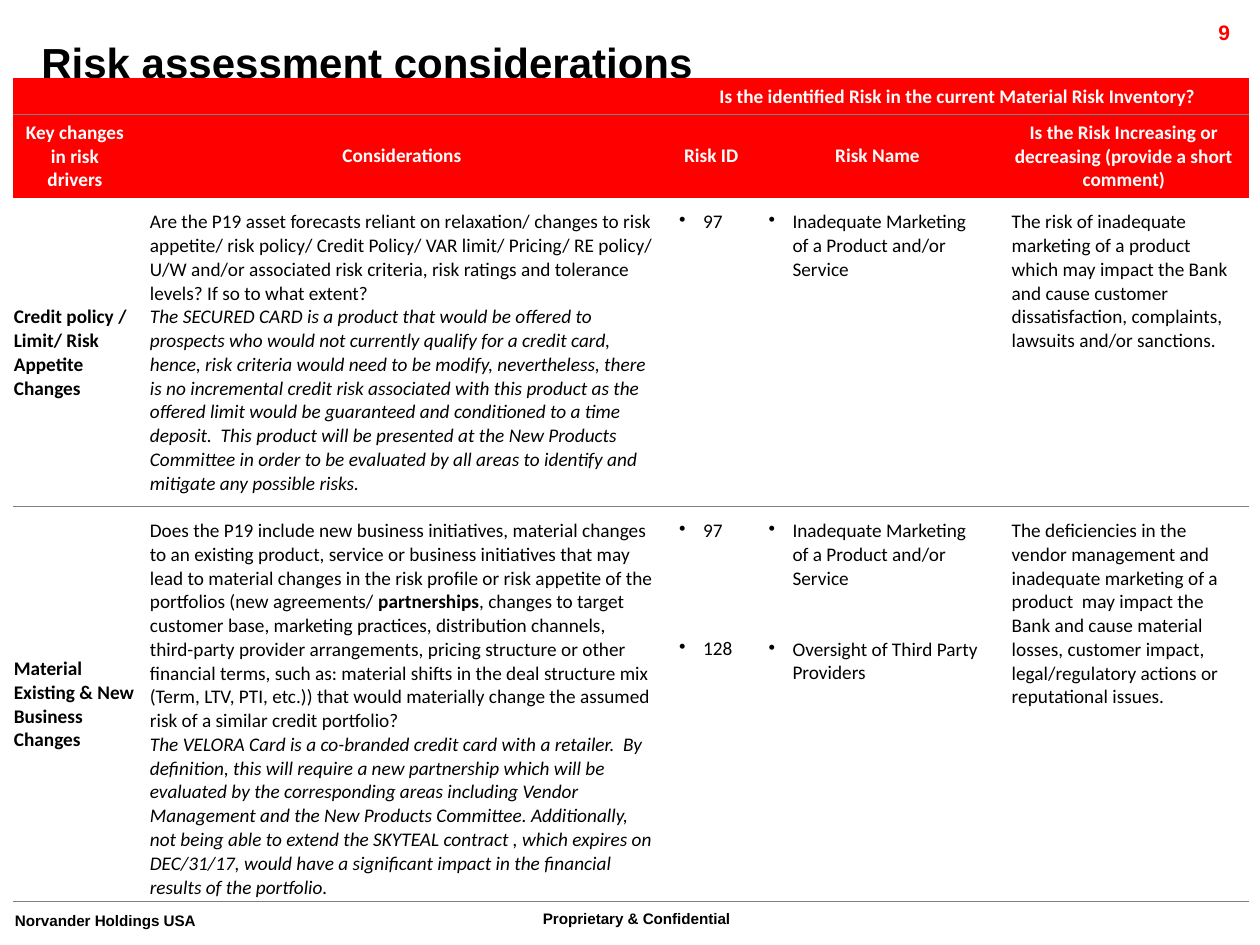
import dataclasses
import pptx
import pptx.dml.color
import pptx.enum.text
import pptx.oxml
import pptx.oxml.ns
import pptx.util
from lxml import etree

Inches = pptx.util.Inches
Pt = pptx.util.Pt
Align = pptx.enum.text.PP_ALIGN
Anchor = pptx.enum.text.MSO_ANCHOR
qn = pptx.oxml.ns.qn

HUES = {"red": "FF0000", "black": "000000", "white": "FFFFFF", "gray": "808080"}
PLAIN = "{2D5ABB26-0587-4C30-8999-92F81FD0307C}"
COLS = [0.99, 4.2, 0.71, 1.93, 1.98]
ROWS = [0.29, 0.66, 2.45, 3.13]
RULED = {0, 2, 3}


@dataclasses.dataclass
class Label:
    text: str
    left: float
    top: float
    width: float
    height: float
    size: int
    hue: str = "black"
    align: Align = Align.LEFT
    base: int = 0


@dataclasses.dataclass
class Para:
    text: str
    bold: bool = False
    slant: bool = False
    dot: bool = False
    gap: float = 0
    strong: str = ""


@dataclasses.dataclass
class Entry:
    driver: str
    notes: list[Para]
    ids: list[Para]
    names: list[Para]
    trend: str


LABELS = [
    Label("Proprietary & Confidential", 4.21, 7.14, 2.18, 0.35, 15, base=30),
    Label("Norvander Holdings USA", 0.02, 7.16, 1.91, 0.35, 15, base=30),
    Label("9", 8.91, 0.11, 0.95, 0.24, 12, "red", Align.RIGHT),
    Label("Risk assessment considerations", 0.23, 0.24, 9.82, 0.5, 24),
]

HEADS = [
    "Key changes in risk drivers", "Considerations", "Risk ID", "Risk Name",
    "Is the Risk Increasing or decreasing (provide a short comment)",
]

MARKET = "Inadequate Marketing of a Product and/or Service"

ENTRIES = [
    Entry(
        "Credit policy / Limit/ Risk Appetite Changes",
        [
            Para("Are the P19 asset forecasts reliant on relaxation/ changes to risk "
                 "appetite/ risk policy/ Credit Policy/ VAR limit/ Pricing/ RE policy/ "
                 "U/W and/or associated risk criteria, risk ratings and tolerance "
                 "levels? If so to what extent?"),
            Para("The SECURED CARD is a product that would be offered to prospects who "
                 "would not currently qualify for a credit card, hence, risk criteria "
                 "would need to be modify, nevertheless, there is no incremental credit "
                 "risk associated with this product as the offered limit would be "
                 "guaranteed and conditioned to a time deposit.  This product will be "
                 "presented at the New Products Committee in order to be evaluated by "
                 "all areas to identify and mitigate any possible risks.", slant=True),
        ],
        [Para("97", dot=True)],
        [Para(MARKET, dot=True)],
        "The risk of inadequate marketing of a product which may impact the Bank and "
        "cause customer dissatisfaction, complaints, lawsuits and/or sanctions.",
    ),
    Entry(
        "Material Existing & New Business Changes",
        [
            Para("Does the P19 include new business initiatives, material changes to an "
                 "existing product, service or business initiatives that may lead to "
                 "material changes in the risk profile or risk appetite of the "
                 "portfolios (new agreements/ partnerships, changes to target customer "
                 "base, marketing practices, distribution channels, third-party "
                 "provider arrangements, pricing structure or other financial terms, "
                 "such as: material shifts in the deal structure mix (Term, LTV, PTI, "
                 "etc.)) that would materially change the assumed risk of a similar "
                 "credit portfolio?", strong="partnerships"),
            Para("The VELORA Card is a co-branded credit card with a retailer.  By "
                 "definition, this will require a new partnership which will be "
                 "evaluated by the corresponding areas including Vendor Management and "
                 "the New Products Committee. Additionally, not being able to extend "
                 "the SKYTEAL contract , which expires on DEC/31/17, would have a "
                 "significant impact in the financial results of the portfolio.",
                 slant=True),
        ],
        [Para("97", dot=True), Para("128", dot=True, gap=54)],
        [Para(MARKET, dot=True),
         Para("Oversight of Third Party Providers", dot=True, gap=27)],
        "The deficiencies in the vendor management and inadequate marketing of a "
        "product  may impact the Bank and cause material losses, customer impact, "
        "legal/regulatory actions or reputational issues.",
    ),
]


def color(hue: str) -> pptx.dml.color.RGBColor:
    return pptx.dml.color.RGBColor.from_string(HUES[hue])


def style(par, face: str, size: int, hue: str, bold: bool, slant: bool = False) -> None:
    font = par.font
    font.name, font.size = face, Pt(size)
    font.bold, font.italic = bold, slant
    font.color.rgb = color(hue)


def draw_label(slide, label: Label) -> None:
    box = slide.shapes.add_textbox(
        Inches(label.left), Inches(label.top), Inches(label.width), Inches(label.height))
    box.text_frame.word_wrap = True
    par = box.text_frame.paragraphs[0]
    par.alignment = label.align
    run = par.add_run()
    run.text = label.text
    if label.base:
        run._r.get_or_add_rPr().set("baseline", str(label.base * 1000))
    style(par, "Arial", label.size, label.hue, True)


def write(par, item: Para, hue: str) -> None:
    if item.gap:
        par.space_before = Pt(item.gap)
    if item.dot:
        props = par._p.get_or_add_pPr()
        props.set("marL", str(Inches(0.19)))
        props.set("indent", str(-Inches(0.19)))
        etree.SubElement(props, qn("a:buChar"), char="•")
    parts = item.text.partition(item.strong) if item.strong else [item.text]
    for part in parts:
        run = par.add_run()
        run.text = part
        if part == item.strong:
            run.font.bold = True
    style(par, "Calibri", 11, hue, item.bold, item.slant)


def fill_cell(cell, items: list[Para], hue: str, middle: bool, center: bool = False) -> None:
    cell.vertical_anchor = Anchor.MIDDLE if middle else Anchor.TOP
    frame = cell.text_frame
    for spot, item in enumerate(items):
        par = frame.add_paragraph() if spot else frame.paragraphs[0]
        if center:
            par.alignment = Align.CENTER
        write(par, item, hue)


def pad(cell, side: float, top: float, base: float) -> None:
    cell.margin_left = cell.margin_right = Inches(side)
    cell.margin_top, cell.margin_bottom = Inches(top), Inches(base)


def rule(cell) -> None:
    line = etree.Element(qn("a:lnB"), w=str(Pt(1)))
    fill = etree.SubElement(line, qn("a:solidFill"))
    etree.SubElement(fill, qn("a:srgbClr"), val=HUES["gray"])
    cell._tc.get_or_add_tcPr().insert(0, line)


def draw_table(slide) -> None:
    frame = slide.shapes.add_table(
        len(ROWS), len(COLS), Inches(0.1), Inches(0.62),
        Inches(sum(COLS)), Inches(sum(ROWS)))
    table = frame.table
    table.first_row = table.horz_banding = False
    table._tbl.tblPr.find(qn("a:tableStyleId")).text = PLAIN
    for col, width in zip(table.columns, COLS):
        col.width = Inches(width)
    for row, height in zip(table.rows, ROWS):
        row.height = Inches(height)

    table.cell(0, 0).merge(table.cell(0, 1))
    table.cell(0, 2).merge(table.cell(0, 4))
    asked = "Is the identified Risk in the current Material Risk Inventory?"
    fill_cell(table.cell(0, 2), [Para(asked, bold=True)], "white", True, True)
    for col, head in enumerate(HEADS):
        fill_cell(table.cell(1, col), [Para(head, bold=True)], "white", True, True)

    for row, entry in enumerate(ENTRIES, 2):
        groups = [[Para(entry.driver, bold=True)], entry.notes, entry.ids,
                  entry.names, [Para(entry.trend)]]
        for col, items in enumerate(groups):
            cell = table.cell(row, col)
            fill_cell(cell, items, "black", col < 2)
            pad(cell, *((0.1, 0.1, 0.1) if col else (0.01, 0.01, 0)))

    for row in range(len(ROWS)):
        for col in range(len(COLS)):
            cell = table.cell(row, col)
            cell.fill.solid()
            cell.fill.fore_color.rgb = color("red" if row < 2 else "white")
            if row in RULED:
                rule(cell)
            if not cell.text:
                par = cell.text_frame.paragraphs[0]
                etree.SubElement(par._p, qn("a:endParaRPr"), sz="1100")


def main() -> None:
    deck = pptx.Presentation()
    deck.slide_width, deck.slide_height = Inches(10), Inches(7.5)
    slide = deck.slides.add_slide(deck.slide_layouts[6])
    for label in LABELS:
        draw_label(slide, label)
    draw_table(slide)
    deck.save("out.pptx")


if __name__ == "__main__":
    main()
